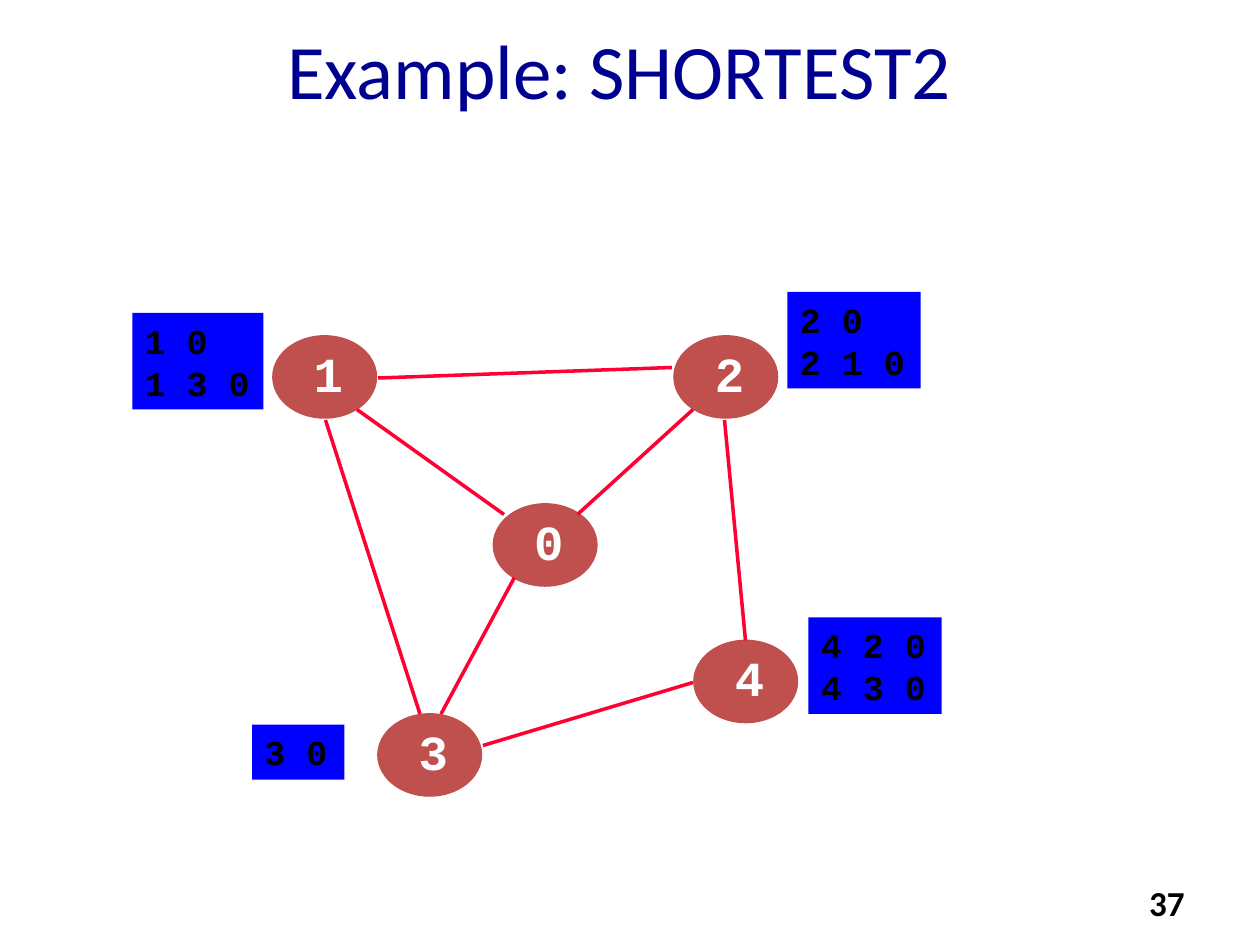
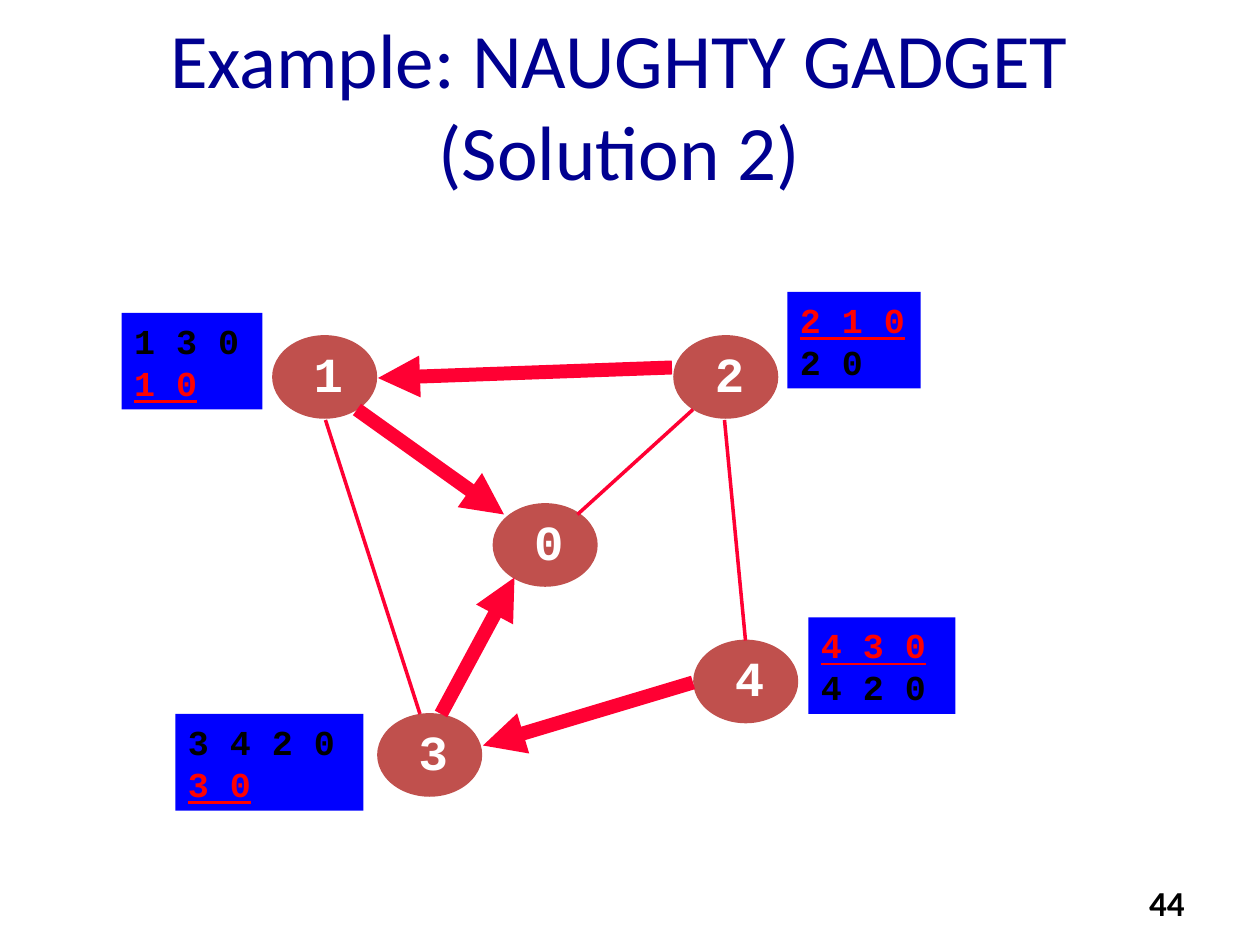
import lxml.etree
import pptx
import pptx.dml.color
import pptx.enum.shapes
import pptx.enum.text
import pptx.oxml.ns
import pptx.util

COLOURS = {
    "title": "000090",
    "node": "C0504D",
    "edge": "FF0033",
    "label": "0000FF",
    "chosen": "FF0000",
    "black": "000000",
    "white": "FFFFFF",
}
BODY_FONT, CODE_FONT = "Calibri", "Courier New"
SHAPES = pptx.enum.shapes.MSO_SHAPE
ALIGN = pptx.enum.text.PP_ALIGN
ANCHOR = pptx.enum.text.MSO_ANCHOR

# The slide is a grid of 120 columns by 90 rows; boxes are left, top, width, height
SLIDE_WIDTH, SLIDE_HEIGHT = pptx.util.Inches(10), pptx.util.Inches(7.5)
UNIT = SLIDE_WIDTH / 120
GRAPH_BOX = (10, 27, 71, 51)
NUMBER_BOX = (86, 83.4, 28, 4.8)
TITLE_LEFT, TITLE_WIDTH, TITLE_HEIGHT = 2, 114, 5

# Graph parts, relative to the graph box
NODE_SIZE = (9.84, 7.8)
NODES = {"1": (16, 5), "2": (54.2, 5), "4": (56.1, 34), "3": (26, 41), "0": (37, 21)}
EDGES = {
    "1-0": ((24, 12), (38, 22)),
    "2-1": ((54, 8), (26, 9)),
    "2-0": ((56, 12), (45, 22)),
    "4-2": ((61, 34), (59, 13)),
    "3-1": ((30, 41), (21, 13)),
    "4-3": ((56, 38), (36, 44)),
    "3-0": ((32, 41), (39, 28)),
}
ROW_HEIGHTS = {1: 5.25, 2: 9.2}

# Each label: left, top, width, paths; a path in `chosen` is underlined
SLIDES = [
    {
        "title": "Example: SHORTEST2", "title_top": 4, "number": "37",
        "labels": [
            (65, 0.8, 12.7, ["2 0", "2 1 0"]),
            (2.6, 2.8, 12.5, ["1 0", "1 3 0"]),
            (67, 31.8, 12.7, ["4 2 0", "4 3 0"]),
            (14, 42, 8.8, ["3 0"]),
        ],
        "chosen": [], "arrows": [],
    },
    {
        "title": "Example: NAUGHTY GADGET (Solution 2)", "title_top": 7.4, "number": "44",
        "labels": [
            (65, 0.8, 12.7, ["2 1 0", "2 0"]),
            (1.6, 2.8, 13.4, ["1 3 0", "1 0"]),
            (67, 31.8, 14, ["4 3 0", "4 2 0"]),
            (6.7, 41, 17.9, ["3 4 2 0", "3 0"]),
        ],
        "chosen": ["2 1 0", "1 0", "4 3 0", "3 0"],
        "arrows": ["1-0", "2-1", "4-3", "3-0"],
    },
]


def colour(name):
    return pptx.dml.color.RGBColor.from_string(COLOURS[name])


def grid(*lengths):
    return [round(length * UNIT) for length in lengths]


def inside(box, left, top):
    return box[0] + left, box[1] + top


def write(shape, lines, size, font=BODY_FONT, fill="black", bold=False,
          align=ALIGN.LEFT, anchor=ANCHOR.TOP, wrap=True, chosen=()):
    frame = shape.text_frame
    frame.word_wrap = wrap
    frame.vertical_anchor = anchor
    for index, line in enumerate(lines):
        paragraph = frame.add_paragraph() if index else frame.paragraphs[0]
        paragraph.alignment = align
        run = paragraph.add_run()
        run.text = line
        run.font.name, run.font.size, run.font.bold = font, pptx.util.Pt(size), bold
        run.font.underline = line in chosen
        run.font.color.rgb = colour("chosen" if line in chosen else fill)


def add_filled(shapes, kind, box, fill, outlined=False):
    shape = shapes.add_shape(kind, *grid(*box))
    shape.shadow.inherit = False
    shape.fill.solid()
    shape.fill.fore_color.rgb = colour(fill)
    if outlined:
        shape.line.color.rgb = colour(fill)
        shape.line.width = pptx.util.Pt(1)
    else:
        shape.line.fill.background()
    return shape


def add_node(slide, name, left, top):
    group = slide.shapes.add_group_shape()
    add_filled(group.shapes, SHAPES.OVAL, (left, top, *NODE_SIZE), "node", outlined=True)
    caption = group.shapes.add_textbox(*grid(left + 2.7, top + 0.12, 5, 6.8))
    write(caption, [name], 28, font=CODE_FONT, fill="white", bold=True, wrap=False)


def add_edge(slide, start, end, arrow):
    connector = slide.shapes.add_connector(
        pptx.enum.shapes.MSO_CONNECTOR.STRAIGHT, *grid(*start, *end))
    connector.line.color.rgb = colour("edge")
    connector.line.width = pptx.util.Pt(8 if arrow else 2)
    qualified = pptx.oxml.ns.qn
    if arrow:
        line = connector.line._get_or_add_ln()
        lxml.etree.SubElement(line, qualified("a:tailEnd"), type="triangle")
    lxml.etree.SubElement(connector._element.spPr, qualified("a:effectLst"))


def add_graph(slide, box, labels, chosen, arrows):
    # Nodes
    for name, position in NODES.items():
        add_node(slide, name, *inside(box, *position))
    # Edges
    for name, (start, end) in EDGES.items():
        add_edge(slide, inside(box, *start), inside(box, *end), name in arrows)
    # Path lists beside the nodes
    for left, top, width, paths in labels:
        label_box = (*inside(box, left, top), width, ROW_HEIGHTS[len(paths)])
        label = add_filled(slide.shapes, SHAPES.RECTANGLE, label_box, "label")
        write(label, paths, 20, font=CODE_FONT, bold=True, chosen=chosen)


def add_title(slide, box, text):
    title = slide.shapes.add_textbox(*grid(*box))
    write(title, [text], 44, fill="title", align=ALIGN.CENTER, anchor=ANCHOR.MIDDLE)


def add_number(slide, box, text):
    number = slide.shapes.add_textbox(*grid(*box))
    write(number, [text], 20, bold=True, align=ALIGN.RIGHT)


def add_graph_slide(presentation, content):
    slide = presentation.slides.add_slide(presentation.slide_layouts[6])
    add_number(slide, NUMBER_BOX, content["number"])
    title_box = (TITLE_LEFT, content["title_top"], TITLE_WIDTH, TITLE_HEIGHT)
    add_title(slide, title_box, content["title"])
    add_graph(slide, GRAPH_BOX, content["labels"], content["chosen"], content["arrows"])


def main():
    presentation = pptx.Presentation()
    presentation.slide_width, presentation.slide_height = SLIDE_WIDTH, SLIDE_HEIGHT
    for content in SLIDES:
        add_graph_slide(presentation, content)
    presentation.save("out.pptx")


if __name__ == "__main__":
    main()
